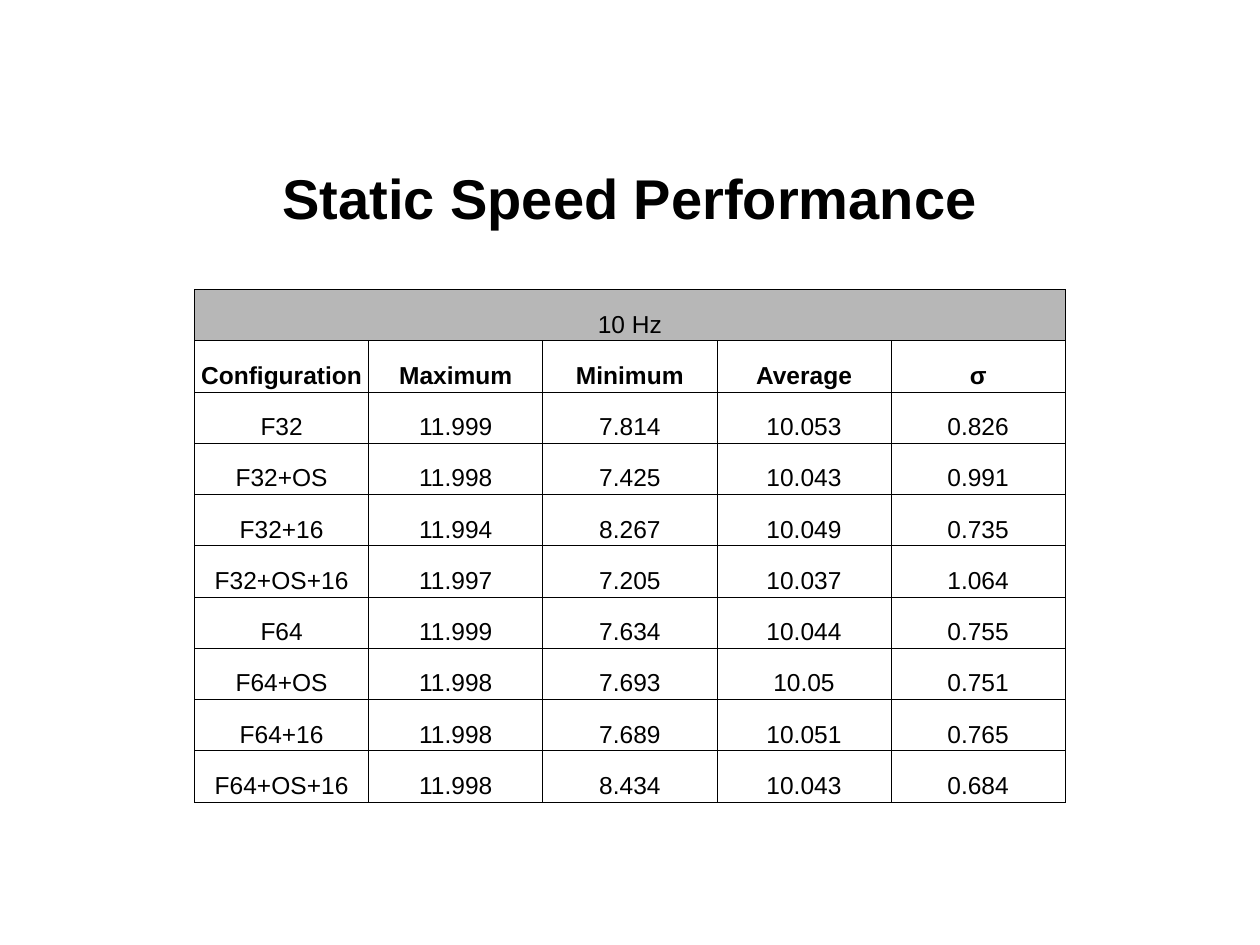
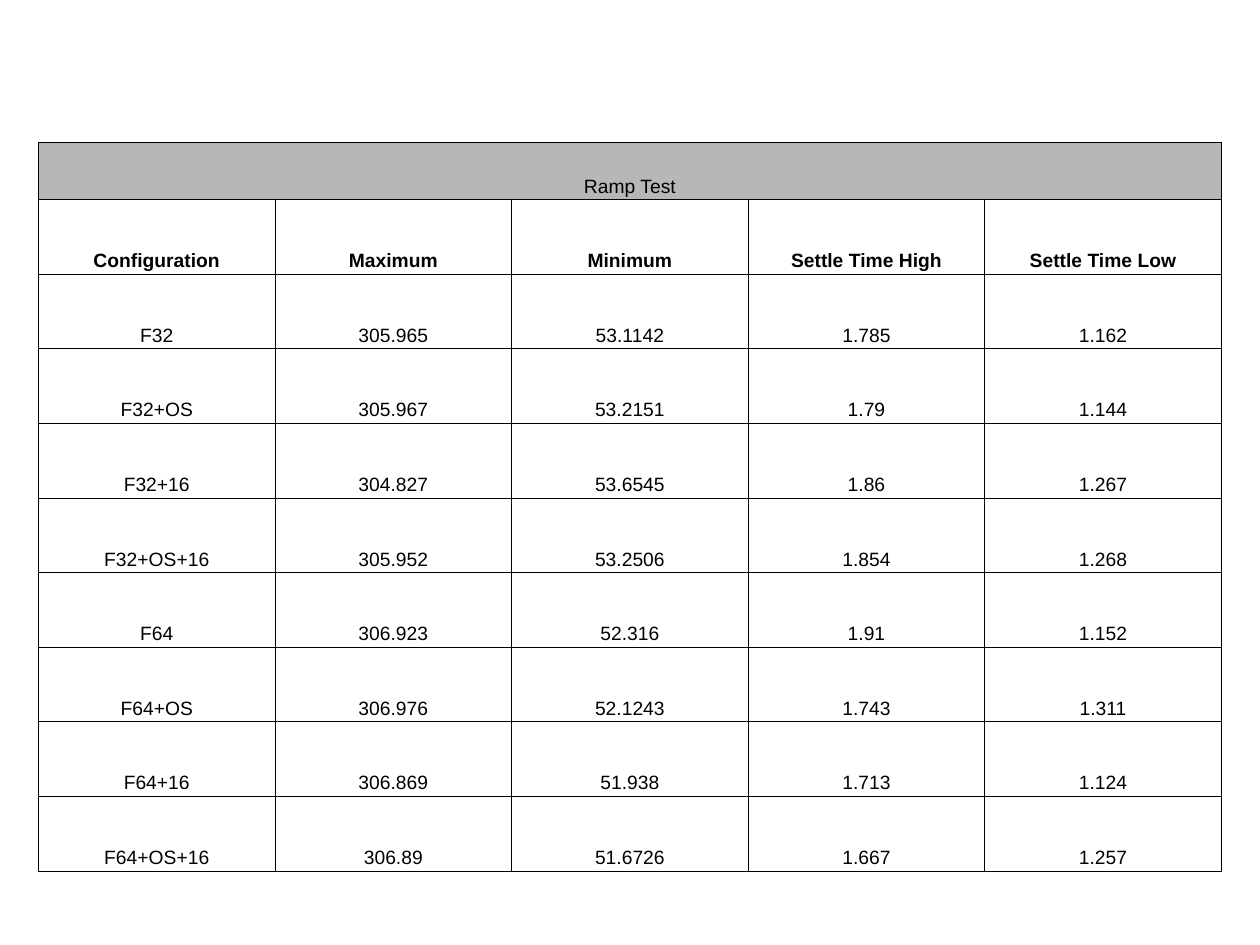
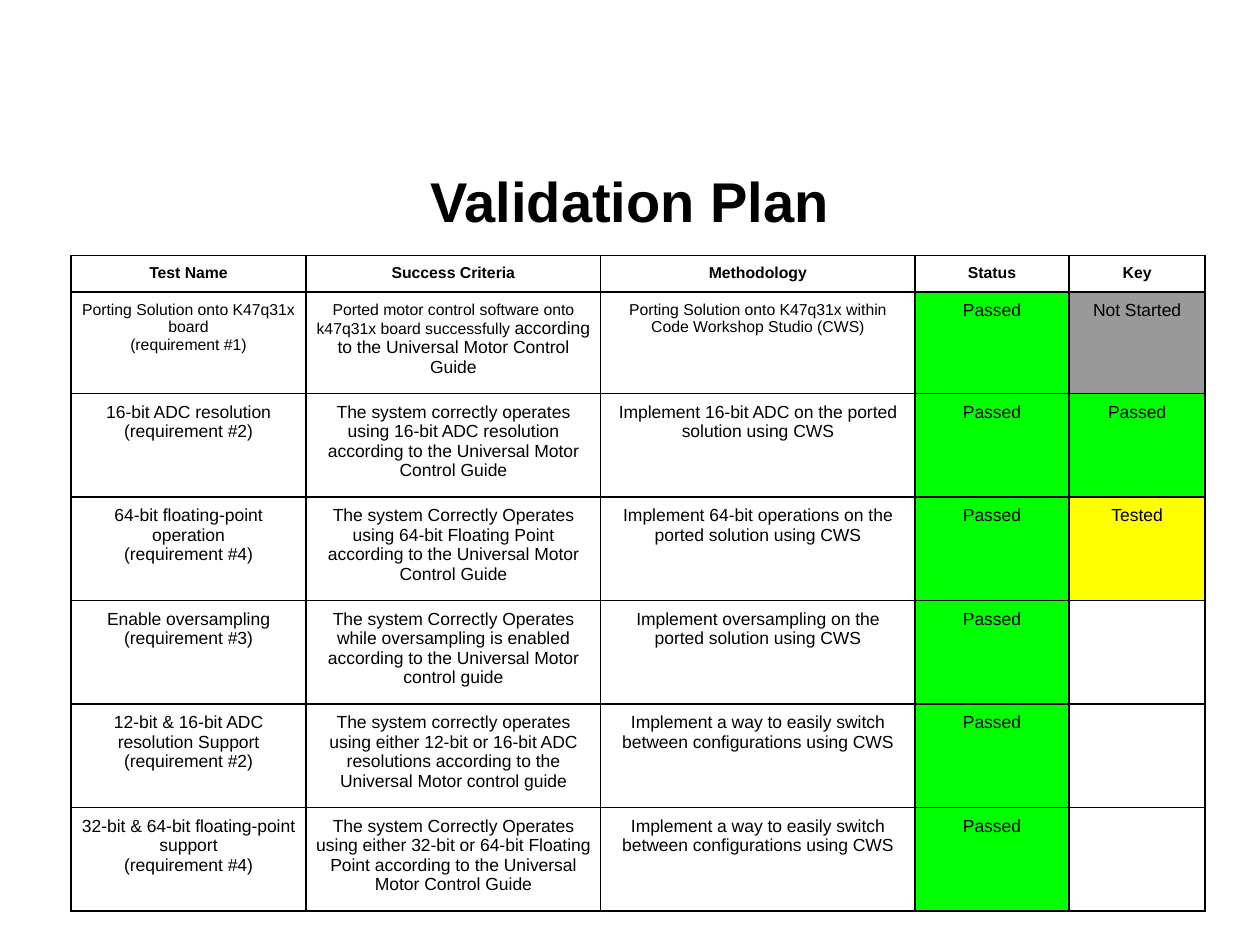
from lxml.etree import SubElement
from pptx import Presentation
from pptx.dml.color import RGBColor
from pptx.enum.text import MSO_ANCHOR, PP_ALIGN
from pptx.oxml.ns import qn
from pptx.util import Pt

FONT = "Arial"
BLACK = RGBColor(0x00, 0x00, 0x00)
BAND_GREY = RGBColor(0xB7, 0xB7, 0xB7)
KEY_GREY = RGBColor(0x99, 0x99, 0x99)
GREEN = RGBColor(0x00, 0xFF, 0x00)
YELLOW = RGBColor(0xFF, 0xFF, 0x00)

STATUS_FILLS = {"Not Started": KEY_GREY, "Passed": GREEN, "Tested": YELLOW}
CONFIGURATIONS = ["F32", "F32+OS", "F32+16", "F32+OS+16",
                  "F64", "F64+OS", "F64+16", "F64+OS+16"]

SPEED_HEADERS = ["Configuration", "Maximum", "Minimum", "Average", "σ"]
SPEED_RESULTS = [
    ["11.999", "7.814", "10.053", "0.826"],
    ["11.998", "7.425", "10.043", "0.991"],
    ["11.994", "8.267", "10.049", "0.735"],
    ["11.997", "7.205", "10.037", "1.064"],
    ["11.999", "7.634", "10.044", "0.755"],
    ["11.998", "7.693", "10.05", "0.751"],
    ["11.998", "7.689", "10.051", "0.765"],
    ["11.998", "8.434", "10.043", "0.684"],
]

RAMP_HEADERS = ["Configuration", "Maximum", "Minimum", "Settle Time High", "Settle Time Low"]
RAMP_RESULTS = [
    ["305.965", "53.1142", "1.785", "1.162"],
    ["305.967", "53.2151", "1.79", "1.144"],
    ["304.827", "53.6545", "1.86", "1.267"],
    ["305.952", "53.2506", "1.854", "1.268"],
    ["306.923", "52.316", "1.91", "1.152"],
    ["306.976", "52.1243", "1.743", "1.311"],
    ["306.869", "51.938", "1.713", "1.124"],
    ["306.89", "51.6726", "1.667", "1.257"],
]

# A cell holds lines; a line is a string or a list of (text, size) runs
PLAN_HEADERS = ["Test Name", "Success Criteria", "Methodology", "Status", "Key"]
PLAN_ROWS = [
    [[[("Porting Solution onto K47q31x board", 9)], [("(requirement #1)", 9)]],
     [[("Ported motor control software onto k47q31x board successfully ", 9),
       ("according to the Universal Motor Control Guide", 10)]],
     [[("Porting Solution onto K47q31x within Code Workshop Studio (CWS)", 9)]],
     "Passed", "Not Started"],
    [["16-bit ADC resolution", "(requirement #2)"],
     "The system correctly operates using 16-bit ADC resolution according to the "
     "Universal Motor Control Guide",
     "Implement 16-bit ADC on the ported solution using CWS", "Passed", "Passed"],
    [["64-bit floating-point operation", "(requirement #4)"],
     "The system Correctly Operates using 64-bit Floating Point according to the "
     "Universal Motor Control Guide",
     "Implement 64-bit operations on the ported solution using CWS", "Passed", "Tested"],
    [["Enable oversampling", "(requirement #3)"],
     "The system Correctly Operates while oversampling is enabled according to the "
     "Universal Motor control guide",
     "Implement oversampling on the ported solution using CWS", "Passed", ""],
    [["12-bit & 16-bit ADC resolution Support", "(requirement #2)"],
     "The system correctly operates using either 12-bit or 16-bit ADC resolutions "
     "according to the Universal Motor control guide",
     "Implement a way to easily switch between configurations using CWS", "Passed", ""],
    [["32-bit & 64-bit floating-point support", "(requirement #4)"],
     "The system Correctly Operates using either 32-bit or 64-bit Floating Point "
     "according to the Universal Motor Control Guide",
     "Implement a way to easily switch between configurations using CWS", "Passed", ""],
]


def write(tf, text, size=10, bold=False, spacing=None):
    """Fill a text frame with centred lines."""
    lines = text if isinstance(text, list) else [text]
    for i, line in enumerate(lines):
        p = tf.add_paragraph() if i else tf.paragraphs[0]
        p.alignment = PP_ALIGN.CENTER
        if spacing:
            p.line_spacing = spacing
        for part, part_size in line if isinstance(line, list) else [(line, size)]:
            r = p.add_run()
            r.text = part
            r.font.name = FONT
            r.font.size = Pt(part_size)
            r.font.bold = bold
            r.font.color.rgb = BLACK


def add_title(s, text, top):
    sp = s.shapes.add_textbox(Pt(36), Pt(top), Pt(648), Pt(63))
    tf = sp.text_frame
    tf.word_wrap = True
    tf.vertical_anchor = MSO_ANCHOR.MIDDLE
    write(tf, text, size=32, bold=True)


def set_borders(cell, width):
    tcPr = cell._tc.get_or_add_tcPr()
    for side in ("lnL", "lnR", "lnT", "lnB"):
        ln = SubElement(tcPr, qn(f"a:{side}"), w=str(Pt(width)))
        fill = SubElement(ln, qn("a:solidFill"))
        SubElement(fill, qn("a:srgbClr"), val=str(BLACK))


def add_grid(s, left, top, widths, heights, border, margins, anchor):
    """Add an unfilled, ruled table; margins are (horizontal, vertical)."""
    frame = s.shapes.add_table(len(heights), len(widths), Pt(left), Pt(top),
                               Pt(sum(widths)), Pt(sum(heights)))
    table = frame.table
    table.first_row = table.horz_banding = False
    for column, width in zip(table.columns, widths):
        column.width = Pt(width)
    for row, height in zip(table.rows, heights):
        row.height = Pt(height)
    for cell in table.iter_cells():
        set_borders(cell, border)
        cell.fill.background()
        cell.margin_left = cell.margin_right = Pt(margins[0])
        cell.margin_top = cell.margin_bottom = Pt(margins[1])
        cell.vertical_anchor = anchor
    return table


def fill_cell(cell, color):
    cell.fill.solid()
    cell.fill.fore_color.rgb = color


def add_results(s, left, top, width, heights, band, headers, results, size, single=()):
    """Add a results table with a grey band; columns in single have plain line spacing."""
    table = add_grid(s, left, top, [width] * len(headers), heights,
                     0.6, (2.16, 1.44), MSO_ANCHOR.BOTTOM)
    # Band across the top
    band_cell = table.cell(0, 0)
    band_cell.merge(table.cell(0, len(headers) - 1))
    fill_cell(band_cell, BAND_GREY)
    write(band_cell.text_frame, band, size=size, spacing=1.15)
    # Header row and one row per configuration
    rows = [headers] + [[name, *values] for name, values in zip(CONFIGURATIONS, results)]
    for i, row in enumerate(rows, start=1):
        for j, value in enumerate(row):
            spacing = None if i > 1 and j in single else 1.15
            write(table.cell(i, j).text_frame, value, size=size, bold=i == 1, spacing=spacing)


def add_plan(s, left, top, widths, heights):
    """Add the validation table with coloured status and key cells."""
    table = add_grid(s, left, top, widths, heights, 1, (5.04, 5.04), MSO_ANCHOR.TOP)
    for j, header in enumerate(PLAN_HEADERS):
        write(table.cell(0, j).text_frame, header, size=9, bold=True)
    for i, row in enumerate(PLAN_ROWS, start=1):
        for j, text in enumerate(row):
            if not text:
                continue
            cell = table.cell(i, j)
            write(cell.text_frame, text)
            if j >= 3:
                fill_cell(cell, STATUS_FILLS[text])


def main():
    prs = Presentation()
    prs.slide_width, prs.slide_height = Pt(720), Pt(540)
    blank = prs.slide_layouts[6]

    # Static speed results
    s = prs.slides.add_slide(blank)
    add_title(s, "Static Speed Performance", 81)
    add_results(s, 111.2, 165.5, 99.5, [29.3] * 10, "10 Hz",
                SPEED_HEADERS, SPEED_RESULTS, 14)

    # Ramp test results
    s = prs.slides.add_slide(blank)
    add_results(s, 22, 81.4, 135.2, [32.6] + [42.65] * 9, "Ramp Test",
                RAMP_HEADERS, RAMP_RESULTS, 11, single=(1, 2, 3))

    # Validation plan
    s = prs.slides.add_slide(blank)
    add_title(s, "Validation Plan", 83)
    add_plan(s, 40.5, 146, [134.4, 168.3, 179.7, 88, 77.8], [20] + [58] + [59.15] * 5)

    prs.save("out.pptx")


if __name__ == "__main__":
    main()
